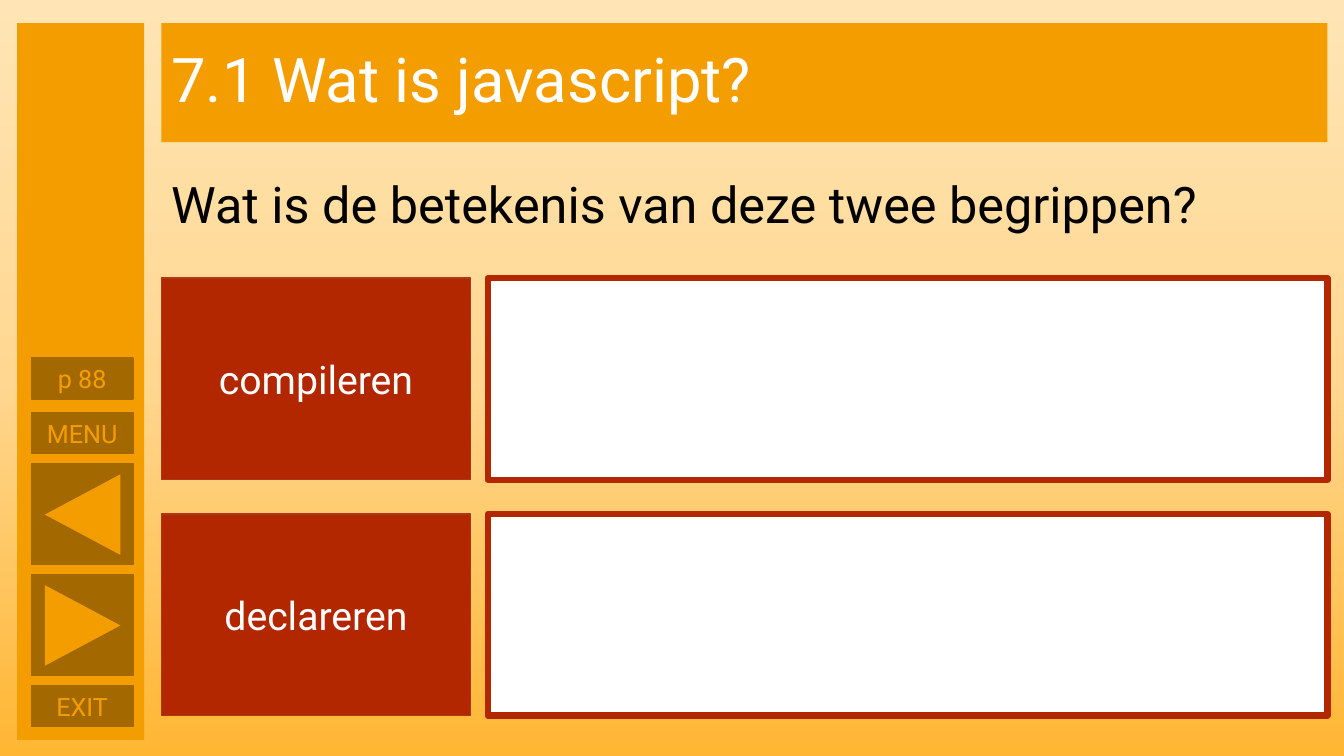
from copy import deepcopy
from dataclasses import dataclass
from typing import NamedTuple

from pptx import Presentation
from pptx.dml.color import RGBColor as Rgb
from pptx.enum.shapes import MSO_SHAPE as Form
from pptx.enum.text import MSO_ANCHOR as Anchor, MSO_AUTO_SIZE as Auto, PP_ALIGN as Align
from pptx.oxml.ns import qn
from pptx.util import Pt


@dataclass(frozen=True)
class Theme:
    font: str = "Roboto"
    orange: str = "F49D00"
    brown: str = "A36900"
    red: str = "B22600"
    edge: str = "AC3819"
    white: str = "FFFFFF"
    black: str = "000000"
    glow: tuple = ((0, "FFE5B5"), (0.5, "FFD791"), (1, "FFB633"))
    head: int = 44
    lead: int = 36
    term: int = 28
    small: int = 18


class Box(NamedTuple):
    left: float
    top: float
    width: float
    height: float


class Button(NamedTuple):
    top: float
    height: float
    label: str = ""
    turn: int = 0


THEME = Theme()
LEFT, WIDE = 115.2, 833.04
BUTTONS = (
    Button(255.6, 29.52, label="p 88"),
    Button(294.48, 29.52, label="MENU"),
    Button(331.2, 72, turn=270),
    Button(410.4, 72, turn=90),
    Button(489.6, 29.52, label="EXIT"),
)
TERMS = ("compileren", "declareren")
TERM_TOP, TERM_STEP = 198.72, 168.48


def place(box: Box) -> list:
    return [Pt(side) for side in box]


def write(shape, text: str, *, size: int, color: str, align=Align.CENTER,
          anchor=Anchor.MIDDLE, fit=Auto.NONE, space: float = 1) -> None:
    frame = shape.text_frame
    frame.word_wrap = True
    frame.auto_size = fit
    frame.vertical_anchor = anchor
    para = frame.paragraphs[0]
    para.alignment = align
    para.line_spacing = space
    run = para.add_run()
    run.text = text
    run.font.name = THEME.font
    run.font.size = Pt(size)
    run.font.color.rgb = Rgb.from_string(color)


def paint(shape, fill: str) -> None:
    shape.fill.solid()
    shape.fill.fore_color.rgb = Rgb.from_string(fill)


def draw(slide, box: Box, fill: str, *, form=Form.RECTANGLE, line: str = "",
         weight: float = 1, turn: int = 0):
    shape = slide.shapes.add_shape(form, *place(box))
    shape.shadow.inherit = False
    shape.rotation = turn
    paint(shape, fill)
    if line:
        shape.line.color.rgb = Rgb.from_string(line)
        shape.line.width = Pt(weight)
    else:
        shape.line.fill.background()
    return shape


def shade(slide) -> None:
    fill = slide.background.fill
    fill.gradient()
    fill.gradient_angle = 270
    stops = slide.element.find(".//" + qn("a:gsLst"))
    stops.insert(1, deepcopy(stops[0]))
    for stop, (spot, color) in zip(fill.gradient_stops, THEME.glow):
        stop.position = spot
        stop.color.rgb = Rgb.from_string(color)


def add_title(slide) -> None:
    title = slide.shapes.title
    title.left, title.top, title.width, title.height = place(Box(LEFT, 16.56, WIDE, 84.96))
    paint(title, THEME.orange)
    write(title, "7.1 Wat is javascript?", size=THEME.head, color=THEME.white,
          align=Align.LEFT, space=0.9)


def add_button(slide, button: Button) -> None:
    box = Box(22.32, button.top, 72.72, button.height)
    shape = draw(slide, box, THEME.brown, line=THEME.brown)
    if button.label:
        write(shape, button.label, size=THEME.small, color=THEME.orange)
    else:
        arrow = Box(30.24, button.top + 9.36, 57.6, 54)
        draw(slide, arrow, THEME.orange, form=Form.ISOSCELES_TRIANGLE, turn=button.turn)


def add_term(slide, top: float, term: str) -> None:
    card = draw(slide, Box(LEFT, top, 221.04, 144), THEME.red, line=THEME.edge)
    write(card, term, size=THEME.term, color=THEME.white)
    draw(slide, Box(348.48, top, 599.76, 144), THEME.white, line=THEME.red, weight=4.5)


def main() -> None:
    deck = Presentation()
    deck.slide_width, deck.slide_height = Pt(960), Pt(540)
    slide = deck.slides.add_slide(deck.slide_layouts[5])
    shade(slide)
    add_title(slide)
    draw(slide, Box(12.24, 16.56, 90.72, 511.92), THEME.orange)
    for button in BUTTONS:
        add_button(slide, button)
    lead = slide.shapes.add_textbox(*place(Box(LEFT, 120.24, WIDE, 51.12)))
    write(lead, "Wat is de betekenis van deze twee begrippen?", size=THEME.lead,
          color=THEME.black, align=Align.LEFT, anchor=Anchor.TOP,
          fit=Auto.SHAPE_TO_FIT_TEXT)
    for row, term in enumerate(TERMS):
        add_term(slide, TERM_TOP + row * TERM_STEP, term)
    deck.save("out.pptx")


if __name__ == "__main__":
    main()
